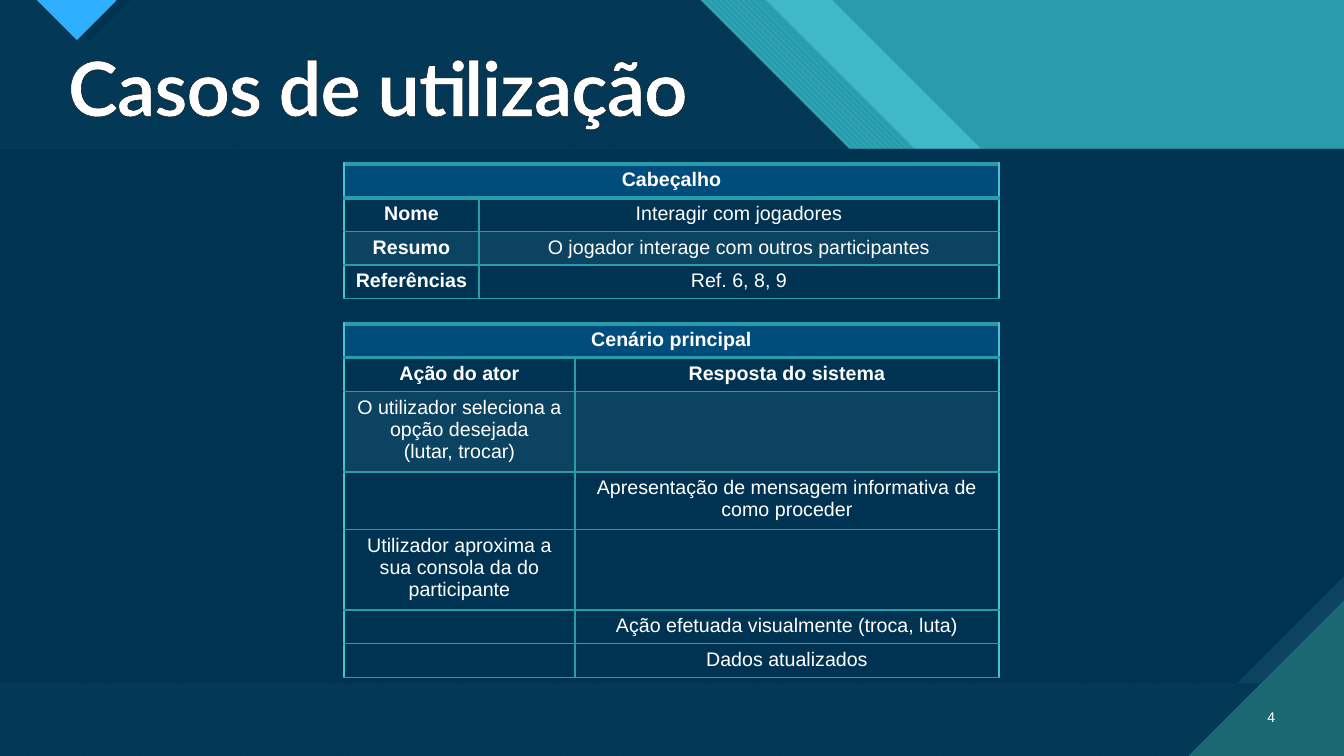
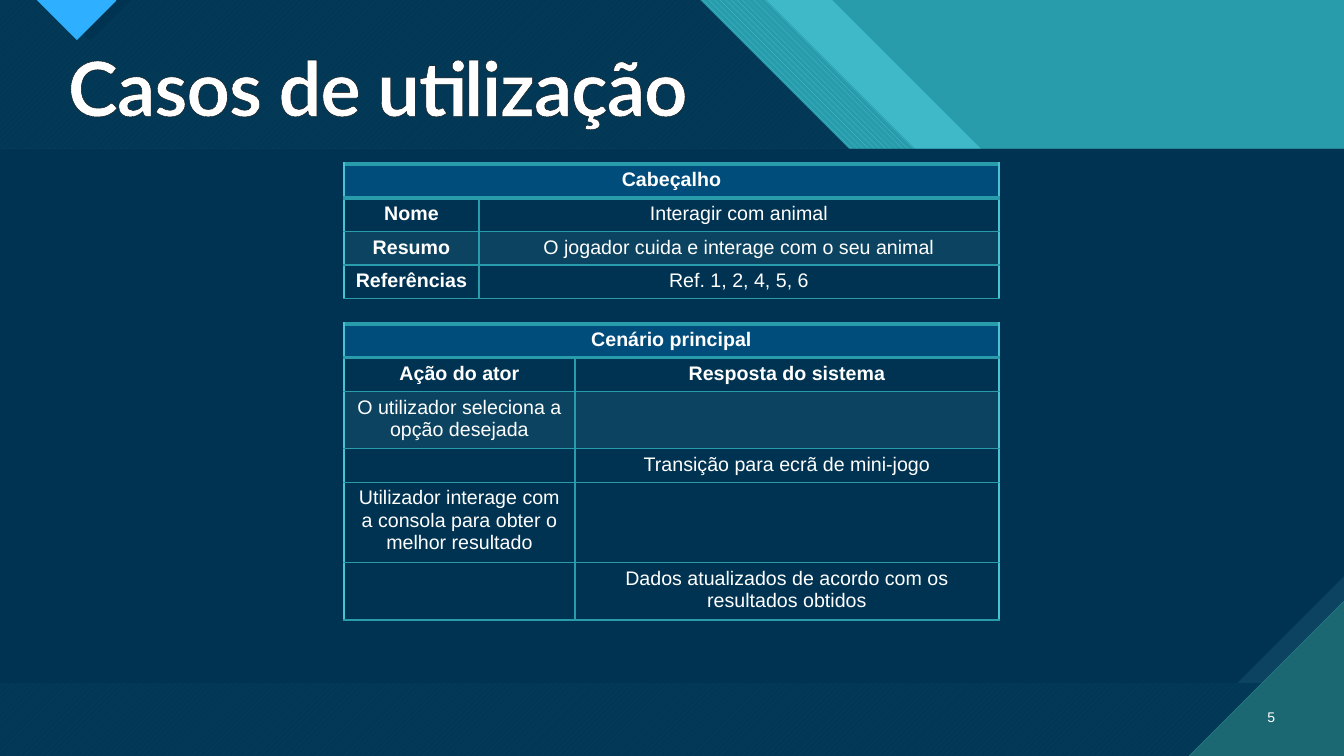
"""Builds two use-case slides, each with a header table and a main scenario table."""
from dataclasses import dataclass

from lxml.etree import SubElement
from pptx import Presentation
from pptx.dml.color import RGBColor
from pptx.enum.dml import MSO_PATTERN
from pptx.enum.shapes import MSO_SHAPE
from pptx.enum.text import MSO_ANCHOR, PP_ALIGN
from pptx.oxml.ns import qn
from pptx.util import Emu, Pt

TITLE = "Casos de utilização"
HEADER_LABELS = ("Nome", "Resumo", "Referências")
USE_CASES = [
    {
        "number": "4",
        "header": ("Interagir com jogadores", "O jogador interage com outros participantes", "Ref. 6, 8, 9"),
        "scenario": [
            (3, "O utilizador seleciona a opção desejada\n(lutar, trocar)", ""),
            (2, "", "Apresentação de mensagem informativa de como proceder"),
            (3, "Utilizador aproxima a sua consola da do participante", ""),
            (1, "", "Ação efetuada visualmente (troca, luta)"),
            (1, "", "Dados atualizados"),
        ],
    },
    {
        "number": "5",
        "header": ("Interagir com animal", "O jogador cuida e interage com o seu animal", "Ref. 1, 2, 4, 5, 6"),
        "scenario": [
            (2, "O utilizador seleciona a opção desejada", ""),
            (1, "", "Transição para ecrã de mini-jogo"),
            (3, "Utilizador interage com a consola para obter o melhor resultado", ""),
            (2, "", "Dados atualizados de acordo com os resultados obtidos"),
        ],
    },
]


@dataclass(frozen=True)
class Theme:
    navy: str = "003352"
    slate: str = "0C4360"
    blue: str = "004C7B"
    sky: str = "2FAFFF"
    pine: str = "1B6872"
    teal: str = "299CAB"
    aqua: str = "47C3D3"
    white: str = "FFFFFF"
    black: str = "000000"
    title_font: str = "Lato"
    body_font: str = "Arial"
    title_size: int = 54
    table_size: int = 14
    number_size: int = 10


THEME = Theme()
WIDTH, HEIGHT = 1344, 756
BAND = 300
PANEL = (0, 149, WIDTH, 534)
TABLE_LEFT = 344
HEADER_TOP, HEADER_COLUMNS = 164, (135, 520)
SCENARIO_TOP, SCENARIO_COLUMNS = 324, (231, 424)
LINE_HEIGHT, CELL_PADDING = 22, 10


def px(length):
    return Emu(round(length * 12192000 / WIDTH))


def rgb(color):
    return RGBColor.from_string(color)


def paint(shape, color, back=None, pattern=None, alpha=None):
    shape.shadow.inherit = False
    shape.line.fill.background()
    if pattern is not None:
        shape.fill.patterned()
        shape.fill.pattern = pattern
        shape.fill.fore_color.rgb = rgb(color)
        shape.fill.back_color.rgb = rgb(back)
        return
    shape.fill.solid()
    shape.fill.fore_color.rgb = rgb(color)
    if alpha:
        tint = shape._element.spPr.find(qn("a:solidFill"))[0]
        SubElement(tint, qn("a:alpha"), val=str(alpha * 1000))


def add_preset(slide, kind, box):
    return slide.shapes.add_shape(kind, *map(px, box))


def add_polygon(slide, points):
    start, *rest = [(px(x), px(y)) for x, y in points]
    builder = slide.shapes.build_freeform(*start)
    builder.add_line_segments(rest)
    return builder.convert_to_shape()


def add_slope(slide, edge, ledge):
    shoulder = edge + BAND + ledge
    return add_polygon(slide, [(0, 0), (edge, 0), (edge + BAND, BAND), (shoulder, BAND),
                               (WIDTH, BAND + WIDTH - shoulder), (WIDTH, HEIGHT), (0, HEIGHT)])


def add_pennant(slide, left, half):
    return add_polygon(slide, [(left, 0), (left + 2 * half, 0), (left + half, half)])


def add_backdrop(slide):
    t = THEME
    paint(add_preset(slide, MSO_SHAPE.RECTANGLE, (0, 0, WIDTH, HEIGHT)), t.teal)
    paint(add_slope(slide, 832, 112), t.aqua, alpha=74)
    paint(add_slope(slide, 766, 128), t.aqua, t.teal, MSO_PATTERN.WIDE_DOWNWARD_DIAGONAL)
    paint(add_slope(slide, 700, 128), t.aqua, t.pine, MSO_PATTERN.WIDE_UPWARD_DIAGONAL)
    paint(add_slope(slide, 700, 128), t.navy, alpha=90)
    paint(add_pennant(slide, 49, 41), t.navy)
    paint(add_pennant(slide, 37, 40), t.sky, t.pine, MSO_PATTERN.DARK_HORIZONTAL)
    paint(add_preset(slide, MSO_SHAPE.RECTANGLE, PANEL), t.slate, t.pine, MSO_PATTERN.DARK_VERTICAL)
    panel = add_preset(slide, MSO_SHAPE.SNIP_1_RECTANGLE, PANEL)
    panel.adjustments[0] = 0.2
    panel._element.spPr.find(qn("a:xfrm")).set("flipV", "1")
    paint(panel, t.navy)
    corner = add_polygon(slide, [(1189, HEIGHT), (WIDTH, HEIGHT), (WIDTH, HEIGHT - 155)])
    paint(corner, t.pine, t.aqua, MSO_PATTERN.DARK_HORIZONTAL)


def add_run(paragraph, text, font, size, bold=False):
    run = paragraph.add_run()
    run.text = text
    run.font.name = font
    run.font.size = Pt(size)
    run.font.bold = bold
    run.font.color.rgb = rgb(THEME.white)
    return run


def add_label(slide, box, anchor, align):
    frame = slide.shapes.add_textbox(*map(px, box)).text_frame
    frame.word_wrap = True
    frame.vertical_anchor = anchor
    paragraph = frame.paragraphs[0]
    paragraph.alignment = align
    return paragraph


def add_line(parent, tag, color, points):
    line = SubElement(parent, qn(tag), w=str(Pt(points)))
    SubElement(SubElement(line, qn("a:solidFill")), qn("a:srgbClr"), val=color)
    return line


def add_title(slide):
    paragraph = add_label(slide, (58, 46, 858, 93), MSO_ANCHOR.TOP, PP_ALIGN.LEFT)
    paragraph.line_spacing = 0.9
    run = add_run(paragraph, TITLE, THEME.title_font, THEME.title_size, True)
    properties = run._r.get_or_add_rPr()
    properties.set("spc", "-70")
    properties.insert(0, add_line(properties, "a:ln", THEME.black, 0.75))


def add_number(slide, number):
    paragraph = add_label(slide, (1241, 697, 44, 40), MSO_ANCHOR.MIDDLE, PP_ALIGN.RIGHT)
    add_run(paragraph, number, THEME.body_font, THEME.number_size)


def fill_cell(cell, text, bold):
    frame = cell.text_frame
    for index, line in enumerate(text.split("\n")):
        paragraph = frame.add_paragraph() if index else frame.paragraphs[0]
        paragraph.alignment = PP_ALIGN.CENTER
        if line:
            add_run(paragraph, line, THEME.body_font, THEME.table_size, bold)
        else:
            SubElement(paragraph._p, qn("a:endParaRPr"), sz=str(THEME.table_size * 100))


def style_cell(cell, row, column):
    t = THEME
    properties = cell._tc.get_or_add_tcPr()
    edges = (
        ("a:lnL", t.teal if column else t.aqua, 1),
        ("a:lnR", t.aqua if column or row == 0 else t.teal, 1),
        ("a:lnT", t.teal, 3 if row < 2 else 1),
        ("a:lnB", t.teal, 3 if row == 0 else 1),
    )
    for edge in edges:
        add_line(properties, *edge)
    color = {0: t.blue, 2: t.slate}.get(row)
    if color:
        cell.fill.solid()
        cell.fill.fore_color.rgb = rgb(color)
    else:
        cell.fill.background()


def add_grid(slide, top, columns, heading, rows, is_bold):
    rows = [(1, heading, ""), *rows]
    heights = [lines * LINE_HEIGHT + CELL_PADDING for lines, *_ in rows]
    box = (TABLE_LEFT, top, sum(columns), sum(heights))
    table = slide.shapes.add_table(len(rows), len(columns), *map(px, box)).table
    table.first_row = table.horz_banding = False
    for column, width in zip(table.columns, columns):
        column.width = px(width)
    for r, (_, *texts) in enumerate(rows):
        table.rows[r].height = px(heights[r])
        for c, text in enumerate(texts):
            fill_cell(table.cell(r, c), text, r == 0 or is_bold(r, c))
            style_cell(table.cell(r, c), r, c)
    table.cell(0, 0).merge(table.cell(0, 1))


def add_use_case(slide, case):
    add_backdrop(slide)
    add_number(slide, case["number"])
    add_title(slide)
    header = [(1, *pair) for pair in zip(HEADER_LABELS, case["header"])]
    add_grid(slide, HEADER_TOP, HEADER_COLUMNS, "Cabeçalho", header, lambda r, c: c == 0)
    scenario = [(1, "Ação do ator", "Resposta do sistema"), *case["scenario"]]
    add_grid(slide, SCENARIO_TOP, SCENARIO_COLUMNS, "Cenário principal", scenario, lambda r, c: r == 1)


def main():
    deck = Presentation()
    deck.slide_width, deck.slide_height = px(WIDTH), px(HEIGHT)
    for case in USE_CASES:
        add_use_case(deck.slides.add_slide(deck.slide_layouts[6]), case)
    deck.save("out.pptx")


if __name__ == "__main__":
    main()
